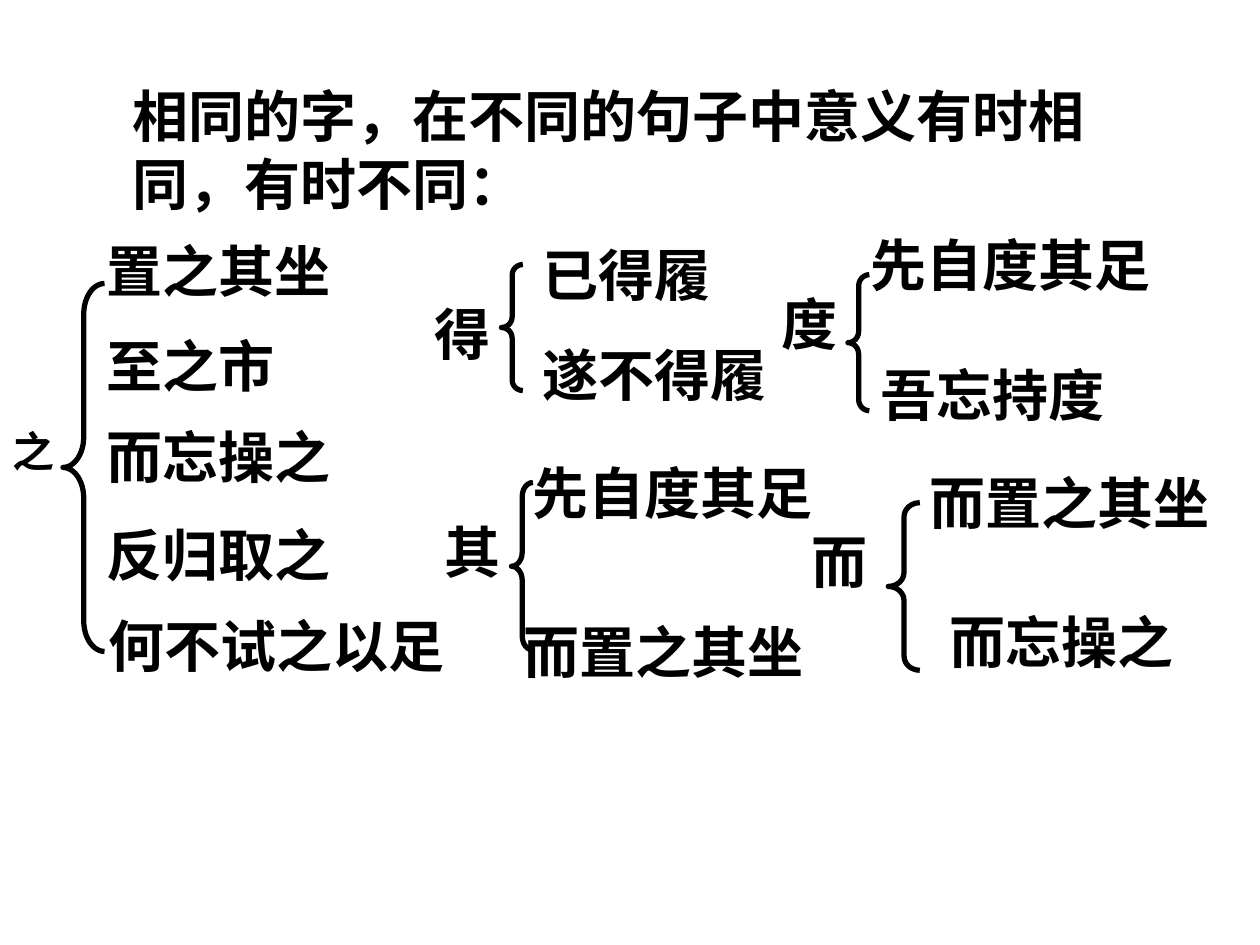
"""Build a slide that groups phrases by the character they share."""
from dataclasses import dataclass

from pptx import Presentation
from pptx.dml.color import RGBColor
from pptx.enum import shapes, text
from pptx.util import Inches, Pt

INK = "000000"
FACE = "Times New Roman"


@dataclass
class Label:
    """A line of text and its top left corner."""
    words: str
    left: float
    top: float
    size: int = 32


@dataclass
class Brace:
    """The frame of a left brace."""
    left: float
    top: float
    width: float
    height: float


@dataclass
class Group:
    """A shared character, its brace and its phrases."""
    key: Label
    brace: Brace
    lines: list[Label]


GROUPS = [
    Group(Label("之", 0, 3.33, 24), Brace(0.5, 2.25, 0.33, 2.92), [
        Label("置之其坐", 0.75, 1.83),
        Label("至之市", 0.75, 2.58),
        Label("而忘操之", 0.75, 3.3),
        Label("反归取之", 0.75, 4.08),
        Label("何不试之以足", 0.76, 4.8)]),
    Group(Label("得", 3.35, 2.33), Brace(3.98, 2.1, 0.17, 1), [
        Label("已得履", 4.21, 1.86),
        Label("遂不得履", 4.21, 2.65)]),
    Group(Label("度", 6.1, 2.25), Brace(6.73, 2.18, 0.17, 1.08), [
        Label("先自度其足", 6.81, 1.78),
        Label("吾忘持度", 6.89, 2.81)]),
    Group(Label("其", 3.43, 4.06), Brace(4.06, 3.83, 0.17, 1.33), [
        Label("先自度其足", 4.13, 3.59),
        Label("而置之其坐", 4.06, 4.85)]),
    Group(Label("而", 6.34, 4.14), Brace(7.05, 3.99, 0.25, 1.33), [
        Label("而置之其坐", 7.28, 3.67),
        Label("而忘操之", 7.44, 4.77)]),
]


def color(code: str) -> RGBColor:
    """Turn a hex string into a colour."""
    return RGBColor.from_string(code)


def write(frame, words: str, size: int) -> None:
    """Put one bold, left-aligned run into a text frame."""
    frame.vertical_anchor = text.MSO_ANCHOR.TOP
    para = frame.paragraphs[0]
    para.alignment = text.PP_ALIGN.LEFT
    run = para.add_run()
    run.text = words
    font = run.font
    font.name, font.size, font.bold = FACE, Pt(size), True
    font.color.rgb = color(INK)


def add_title(slide, words: str) -> None:
    """Place and fill the title."""
    title = slide.shapes.title
    title.left, title.top = Inches(0.95), Inches(0.6)
    title.width, title.height = Inches(7.9), Inches(1.17)
    frame = title.text_frame
    frame.word_wrap = True
    frame.auto_size = text.MSO_AUTO_SIZE.NONE
    write(frame, words, 32)


def add_label(slide, label: Label) -> None:
    """Draw a label in a box that fits its characters."""
    width = 0.2 + len(label.words) * label.size / 72
    height = 0.1 + label.size / 60
    box = slide.shapes.add_textbox(Inches(label.left), Inches(label.top),
                                   Inches(width), Inches(height))
    frame = box.text_frame
    frame.word_wrap = False
    frame.auto_size = text.MSO_AUTO_SIZE.SHAPE_TO_FIT_TEXT
    write(frame, label.words, label.size)


def add_brace(slide, brace: Brace) -> None:
    """Draw a brace whose curves are a twelfth of its height."""
    shape = slide.shapes.add_shape(
        shapes.MSO_SHAPE.LEFT_BRACE, Inches(brace.left), Inches(brace.top),
        Inches(brace.width), Inches(brace.height))
    shape.adjustments[0] = brace.height / 12 / brace.width
    shape.shadow.inherit = False
    shape.fill.background()
    shape.line.color.rgb = color(INK)
    shape.line.width = Pt(3)


def main() -> None:
    """Build and save the slide."""
    deck = Presentation()
    deck.slide_width, deck.slide_height = Inches(10), Inches(7.5)
    slide = deck.slides.add_slide(deck.slide_layouts[5])
    add_title(slide, "相同的字，在不同的句子中意义有时相同，有时不同：")
    for group in GROUPS:
        add_brace(slide, group.brace)
        for label in [group.key, *group.lines]:
            add_label(slide, label)
    deck.save("out.pptx")


if __name__ == "__main__":
    main()
